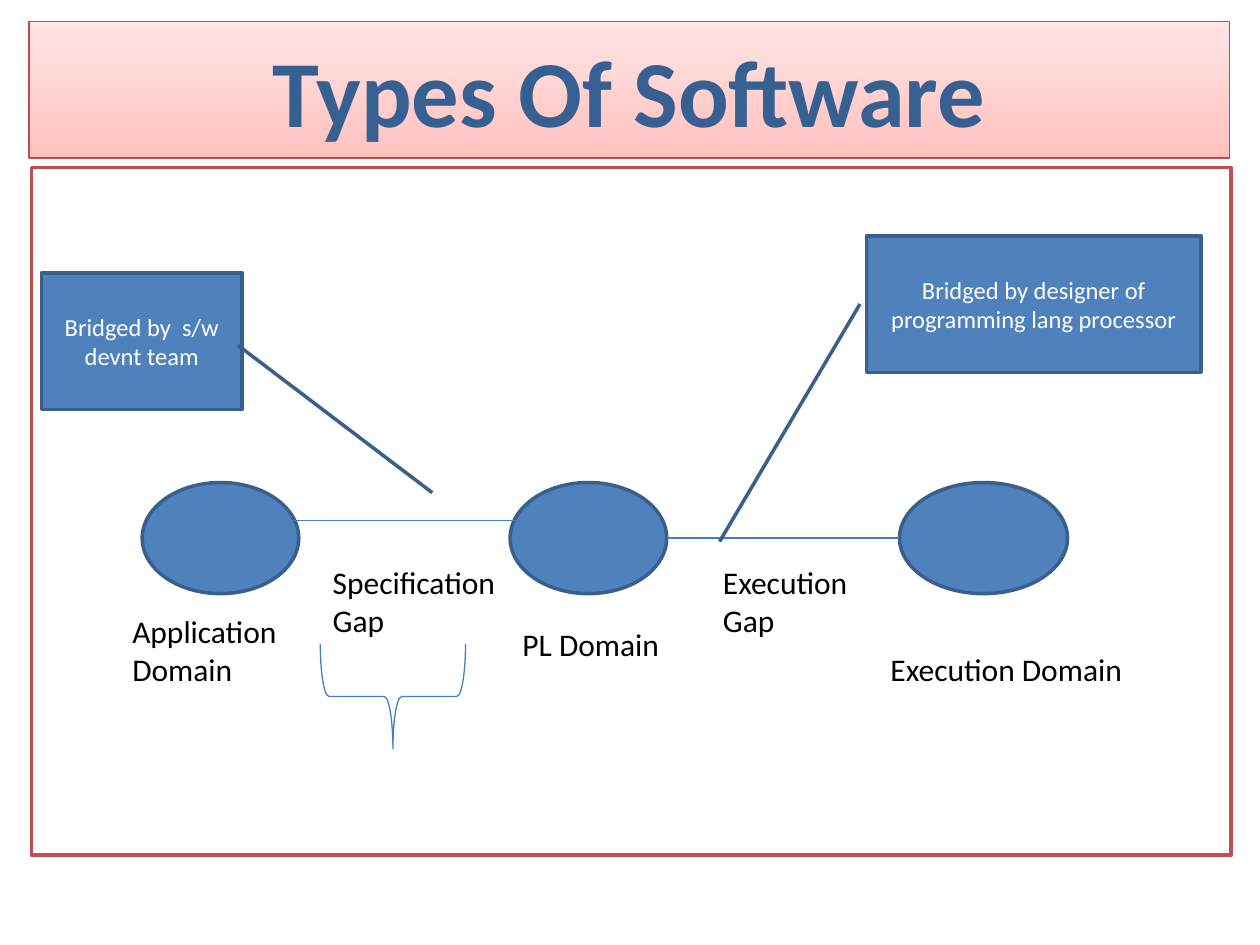
from dataclasses import dataclass

from lxml.etree import SubElement
from pptx import Presentation
from pptx.dml.color import RGBColor as Rgb
from pptx.enum.shapes import MSO_CONNECTOR as Link, MSO_SHAPE as Preset
from pptx.enum.text import MSO_ANCHOR as Anchor, PP_ALIGN as Align
from pptx.oxml.ns import qn
from pptx.util import Pt


@dataclass(frozen=True)
class Theme:
    font: str = "Calibri"
    title_size: float = 54
    label_size: float = 18
    callout_size: float = 14
    title: str = "376092"
    title_bottom: str = "FFC1BE"
    title_top: str = "FFE5E5"
    title_edge: str = "BE4B48"
    frame_edge: str = "C0504D"
    accent: str = "4F81BD"
    accent_edge: str = "3A5F8C"
    thin_line: str = "4A7EBB"
    light: str = "FFFFFF"
    dark: str = "000000"
    bold_width: float = 2
    thin_width: float = 0.75


@dataclass(frozen=True)
class Box:
    left: float
    top: float
    width: float
    height: float

    def lengths(self) -> list:
        return [Pt(value) for value in (self.left, self.top, self.width, self.height)]


@dataclass(frozen=True)
class Label:
    text: str
    box: Box


@dataclass(frozen=True)
class Callout:
    text: str
    box: Box
    pointer: tuple[float, ...]  # start y, start x, end y, end x as shares of the box


@dataclass(frozen=True)
class Gap:
    start: float
    end: float
    level: float


THEME = Theme()
TITLE_BOX = Box(16.5, 12.25, 686, 78)
FRAME_BOX = Box(18, 95.75, 685.5, 393)
BRACE_BOX = Box(194.5, 356.5, 60, 83)
DOMAINS = [Box(left, 275.75, width, 63.5)
           for left, width in ((81.25, 89.5), (291.5, 89.5), (514, 96))]
LABELS = [
    Label("Application Domain", Box(68.5, 346.25, 127.5, 50.5)),
    Label("PL Domain", Box(291.5, 353.5, 127.5, 29)),
    Label("Execution Domain", Box(501.75, 367.75, 178.5, 29)),
    Label("Specification Gap", Box(183, 318.25, 121, 50.5)),
    Label("Execution Gap", Box(406, 318.25, 101.5, 50.5)),
]
GAPS = [Gap(164.25, 298, 297.25), Gap(381, 514, 307.5)]
CALLOUTS = [
    Callout("Bridged by designer of programming lang processor",
            Box(495.25, 134.75, 191, 78), (0.5, -0.02, 2.24, -0.44)),
    Callout("Bridged by  s/w devnt team",
            Box(23.75, 156, 114.5, 78), (1.61, 1.95, 0.53, 0.98)),
]


def style_line(shape, color: str, width: float) -> None:
    shape.line.color.rgb = Rgb.from_string(color)
    shape.line.width = Pt(width)


def write(shape, text: str, size: float, color: str, bold: bool = False,
          align=Align.LEFT, anchor=Anchor.TOP) -> None:
    frame = shape.text_frame
    frame.word_wrap = True
    frame.vertical_anchor = anchor
    para = frame.paragraphs[0]
    para.alignment = align
    span = para.add_run()
    span.text = text
    for name, value in {"name": THEME.font, "size": Pt(size), "bold": bold}.items():
        setattr(span.font, name, value)
    span.font.color.rgb = Rgb.from_string(color)


def add_preset(page, preset, box: Box, fill: str | None = THEME.accent,
               edge: str = THEME.accent_edge, width: float = THEME.bold_width):
    shape = page.shapes.add_shape(preset, *box.lengths())
    shape.shadow.inherit = False
    if fill is None:
        shape.fill.background()
    else:
        shape.fill.solid()
        shape.fill.fore_color.rgb = Rgb.from_string(fill)
    style_line(shape, edge, width)
    return shape


def set_title(page, text: str) -> None:
    title = page.shapes.title
    for name, value in zip(("left", "top", "width", "height"), TITLE_BOX.lengths()):
        setattr(title, name, value)
    title.fill.gradient()
    title.fill.gradient_angle = 90
    for stop, color in zip(title.fill.gradient_stops, (THEME.title_bottom, THEME.title_top)):
        stop.color.rgb = Rgb.from_string(color)
    style_line(title, THEME.title_edge, THEME.thin_width)
    write(title, text, THEME.title_size, THEME.title, True, Align.CENTER, Anchor.MIDDLE)


def add_label(page, label: Label) -> None:
    box = page.shapes.add_textbox(*label.box.lengths())
    write(box, label.text, THEME.label_size, THEME.dark)


def add_gap(page, gap: Gap) -> None:
    ends = [Pt(value) for value in (gap.start, gap.level, gap.end, gap.level)]
    line = page.shapes.add_connector(Link.STRAIGHT, *ends)
    style_line(line, THEME.thin_line, THEME.thin_width)
    SubElement(line._element.spPr, qn("a:effectLst"))


def add_callout(page, callout: Callout) -> None:
    shape = add_preset(page, Preset.LINE_CALLOUT_1, callout.box)
    for index, share in enumerate(callout.pointer):
        shape.adjustments[index] = share
    write(shape, callout.text, THEME.callout_size, THEME.light,
          align=Align.CENTER, anchor=Anchor.MIDDLE)


def add_brace(page) -> None:
    brace = add_preset(page, Preset.RIGHT_BRACE, BRACE_BOX, None,
                       THEME.thin_line, THEME.thin_width)
    brace.rotation = 90


def main() -> None:
    deck = Presentation()
    deck.slide_width, deck.slide_height = Pt(720), Pt(540)
    page = deck.slides.add_slide(deck.slide_layouts.get_by_name("Title Only"))
    set_title(page, "Types Of Software")
    add_preset(page, Preset.RECTANGLE, FRAME_BOX, THEME.light, THEME.frame_edge)
    for domain in DOMAINS:
        add_preset(page, Preset.OVAL, domain)
    for label in LABELS:
        add_label(page, label)
    for gap in GAPS:
        add_gap(page, gap)
    for callout in CALLOUTS:
        add_callout(page, callout)
    add_brace(page)
    deck.save("out.pptx")


if __name__ == "__main__":
    main()
